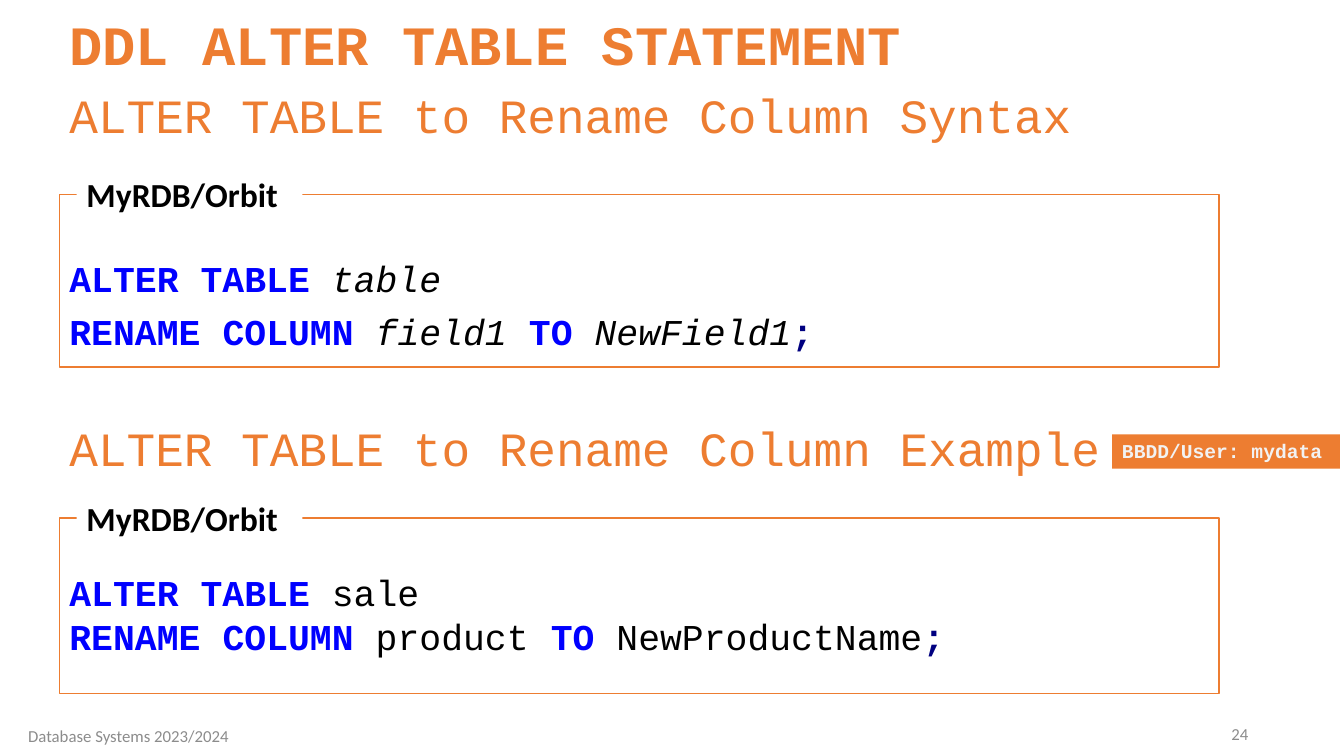
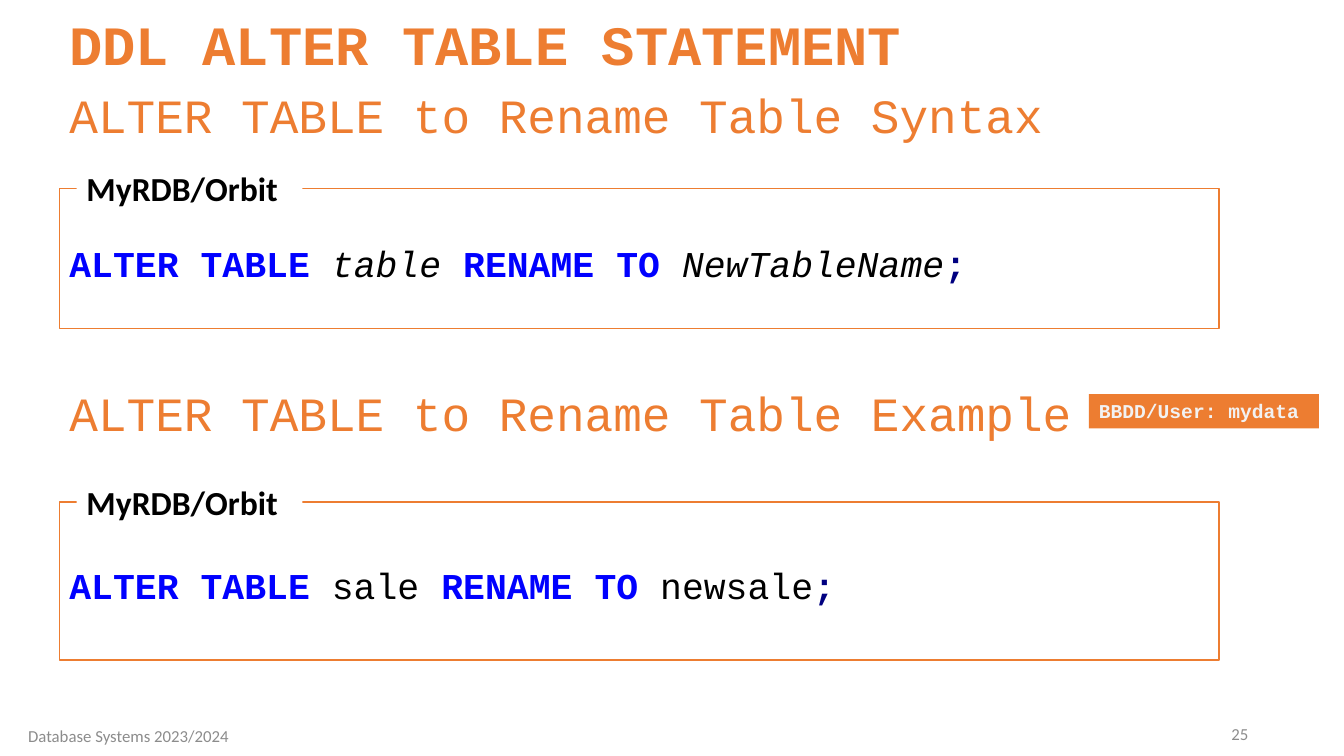
import pptx
import pptx.util
import pptx.dml.color
import pptx.enum.shapes
import pptx.enum.text

Inches, Pt = pptx.util.Inches, pptx.util.Pt
RGBColor = pptx.dml.color.RGBColor
ALIGN = pptx.enum.text.PP_ALIGN
ANCHOR = pptx.enum.text.MSO_ANCHOR

ORANGE = RGBColor(0xED, 0x7D, 0x31)
BLUE = RGBColor(0x00, 0x00, 0xFF)
NAVY = RGBColor(0x00, 0x00, 0x80)
BLACK = RGBColor(0x00, 0x00, 0x00)
WHITE = RGBColor(0xFF, 0xFF, 0xFF)
GREY = RGBColor(0x8C, 0x8C, 0x8C)
PALE = RGBColor(0xF2, 0xF2, 0xF2)
CODE_FONT, BODY_FONT = "Courier New", "Calibri"
KEYWORDS = {"ALTER", "TABLE", "RENAME", "COLUMN", "TO"}
LEFT = 0.59


def add_run(paragraph, text, font=CODE_FONT, size=26, color=BLACK, bold=False, italic=False):
    run = paragraph.add_run()
    run.text = text
    run.font.name = font
    run.font.size = Pt(size)
    run.font.color.rgb = color
    run.font.bold = bold
    run.font.italic = italic


class Deck:
    def __init__(self):
        self.presentation = pptx.Presentation()
        self.presentation.slide_width = Inches(13.33)
        self.presentation.slide_height = Inches(7.5)

    def start_slide(self, number, subject):
        self.slide = self.presentation.slides.add_slide(self.presentation.slide_layouts[6])
        self.heading("DDL ALTER TABLE STATEMENT", 0.15, size=39.6, spacing=0.8, bold=True)
        self.heading(f"ALTER TABLE to Rename {subject} Syntax", 0.83)
        self.text(str(number), 9.48, 7.08, 3, 0.4, align=ALIGN.RIGHT,
                  font=BODY_FONT, size=12, color=GREY)
        self.text("Database Systems 2023/2024", 0, 7.1, 2.55, 0.4, align=ALIGN.CENTER,
                  font=BODY_FONT, size=12, color=GREY)

    def text(self, content, left, top, width, height, align=ALIGN.LEFT, spacing=1.0, **style):
        box = self.slide.shapes.add_textbox(*map(Inches, (left, top, width, height)))
        frame = box.text_frame
        frame.word_wrap = True
        frame.vertical_anchor = ANCHOR.MIDDLE
        paragraph = frame.paragraphs[0]
        paragraph.alignment = align
        paragraph.line_spacing = spacing
        add_run(paragraph, content, **style)

    def heading(self, content, top, size=34.1, spacing=0.9, bold=False):
        self.text(content, LEFT, top, 11.72, 0.69, spacing=spacing,
                  size=size, color=ORANGE, bold=bold)

    def panel(self, left, top, width, height, fill, line=None):
        shape = self.slide.shapes.add_shape(
            pptx.enum.shapes.MSO_SHAPE.RECTANGLE, *map(Inches, (left, top, width, height)))
        shape.shadow.inherit = False
        shape.fill.solid()
        shape.fill.fore_color.rgb = fill
        if line is None:
            shape.line.fill.background()
        else:
            shape.line.color.rgb = line
            shape.line.width = Pt(1)
        frame = shape.text_frame
        frame.word_wrap = True
        frame.vertical_anchor = ANCHOR.TOP
        frame.paragraphs[0].alignment = ALIGN.LEFT
        return frame

    def badge(self, left, top, width):
        frame = self.panel(left, top, width, 0.34, ORANGE)
        add_run(frame.paragraphs[0], "BBDD/User: mydata", size=14, color=PALE, bold=True)

    def code(self, statement, top, height, loose=False, italic=False):
        frame = self.panel(LEFT, top, 11.5, height, WHITE, ORANGE)
        frame.margin_top = Inches(0.66 if loose else 0.52)
        for index, line in enumerate(statement.split("\n")):
            paragraph = frame.add_paragraph() if index else frame.paragraphs[0]
            paragraph.alignment = ALIGN.LEFT
            paragraph.line_spacing = 0.9 if loose else 1.0
            if index and loose:
                paragraph.space_before = Pt(10)
            for position, word in enumerate(line.rstrip(";").split()):
                if position:
                    add_run(paragraph, " ")
                if word in KEYWORDS:
                    add_run(paragraph, word, color=BLUE, bold=True)
                else:
                    add_run(paragraph, word, italic=italic)
            if line.endswith(";"):
                add_run(paragraph, ";", color=NAVY, bold=True)
        label = self.panel(0.76, top - 0.25, 2.24, 0.5, WHITE)
        label.word_wrap = False
        add_run(label.paragraphs[0], "MyRDB/Orbit", font=BODY_FONT, size=24, bold=True)


deck = Deck()

deck.start_slide(24, "Column")
deck.code("ALTER TABLE table\nRENAME COLUMN field1 TO NewField1;", 1.93, 1.71,
          loose=True, italic=True)
deck.heading("ALTER TABLE to Rename Column Example", 4.13)
deck.code("ALTER TABLE sale\nRENAME COLUMN product TO NewProductName;", 5.14, 1.74)
deck.badge(11.03, 4.31, 2.26)

deck.start_slide(25, "Table")
deck.code("ALTER TABLE table RENAME TO NewTableName;", 1.87, 1.39, italic=True)
deck.heading("ALTER TABLE to Rename Table Example", 3.78)
deck.code("ALTER TABLE sale RENAME TO newsale;", 4.98, 1.57, loose=True)
deck.badge(10.8, 3.91, 2.28)

deck.presentation.save("out.pptx")
